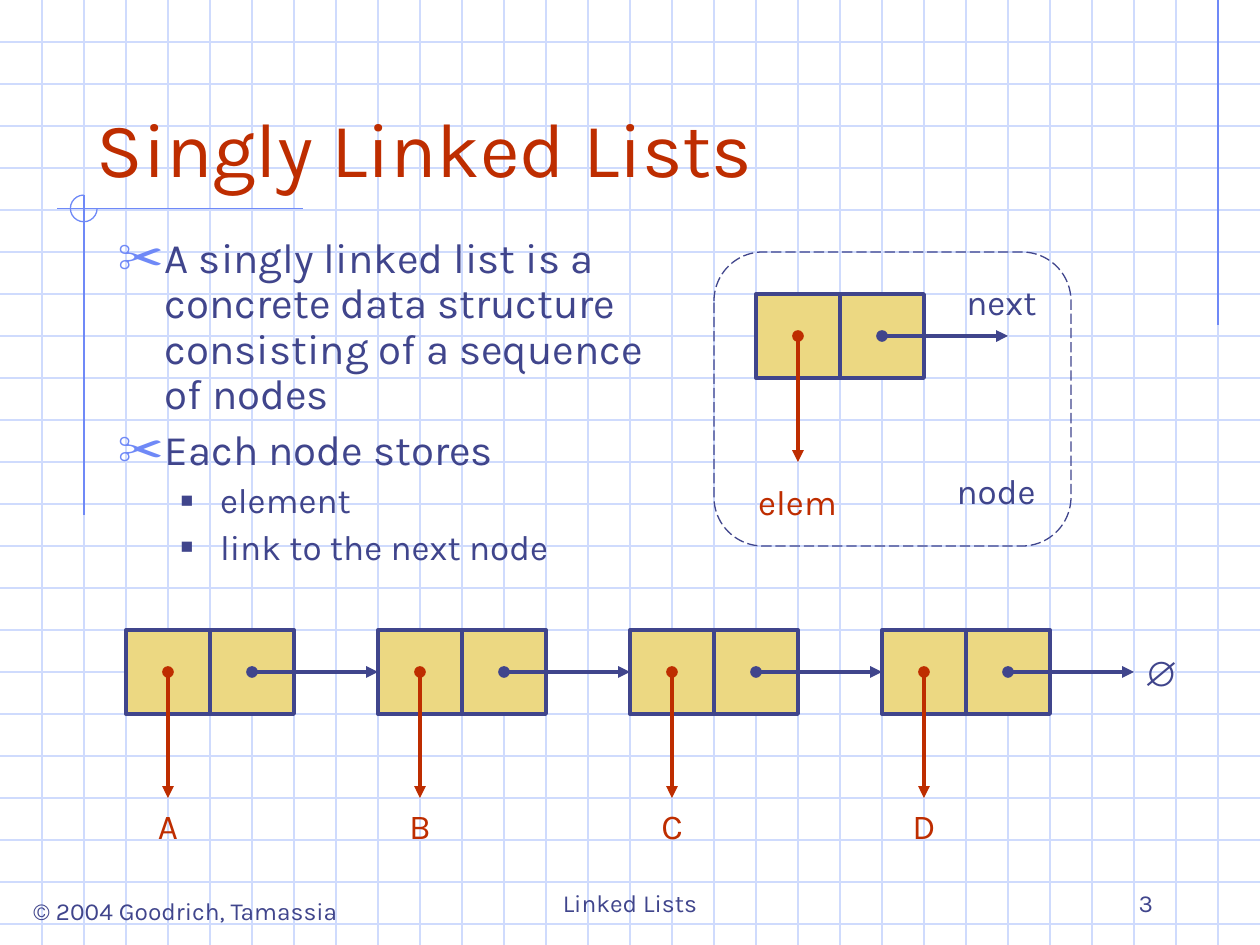
from dataclasses import dataclass

from lxml.etree import SubElement
from pptx import Presentation
from pptx.dml.color import RGBColor
from pptx.enum.dml import MSO_LINE
from pptx.enum.shapes import MSO_CONNECTOR, MSO_SHAPE
from pptx.enum.text import MSO_ANCHOR, MSO_AUTO_SIZE, PP_ALIGN
from pptx.oxml.ns import qn
from pptx.util import Pt


@dataclass(frozen=True)
class Theme:
    """Colours, font and sizes shared by the whole slide."""

    ink: str = "40458C"
    accent: str = "BE2D00"
    rule: str = "6F89F7"
    grid: str = "CFDBFD"
    cell: str = "ECD882"
    font: str = "Karla"
    title: int = 44
    body: int = 24
    label: int = 20
    footer: int = 14
    thin: float = 0.75
    thick: float = 2.25


THEME = Theme()
UNIT = 24
CELL = 2 * UNIT
WIDTH, HEIGHT = 720, 540


def apply(target, values):
    """Set every named attribute on the target."""
    for name, value in values.items():
        setattr(target, name, value)


def place(box, left, top, width, height):
    """Position a box, in points."""
    apply(box, {"left": Pt(left), "top": Pt(top), "width": Pt(width), "height": Pt(height)})


def write(para, text, size, color, font=THEME.font, bold=False):
    """Add one formatted span of text to a paragraph."""
    span = para.add_run()
    span.text = text
    apply(span.font, {"name": font, "size": Pt(size), "bold": bold})
    span.font.color.rgb = RGBColor.from_string(color)


def add_label(page, text, left, top, width, height, color=THEME.ink, size=THEME.label,
              align=PP_ALIGN.CENTER, anchor=MSO_ANCHOR.TOP, wrap=False, **font):
    """Add a one-line text box."""
    box = page.shapes.add_textbox(Pt(left), Pt(top), Pt(width), Pt(height))
    apply(box.text_frame, {"word_wrap": wrap, "vertical_anchor": anchor})
    para = box.text_frame.paragraphs[0]
    para.alignment = align
    write(para, text, size, color, **font)
    return box


def add_line(shapes, start, end, color, width=THEME.thin):
    """Add a straight line without a shadow."""
    line = shapes.add_connector(MSO_CONNECTOR.STRAIGHT, *(Pt(n) for n in (*start, *end)))
    line.line.width = Pt(width)
    line.line.color.rgb = RGBColor.from_string(color)
    SubElement(line.element.spPr, qn("a:effectLst"))
    return line


def add_arrow(page, start, end, color):
    """Add a thick pointer with a dot at its start and an arrowhead at its end."""
    arrow = add_line(page.shapes, start, end, color, THEME.thick)
    stroke = arrow.line._get_or_add_ln()
    SubElement(stroke, qn("a:headEnd"), type="oval")
    SubElement(stroke, qn("a:tailEnd"), type="triangle")
    return arrow


def add_outline(shapes, kind, left, top, width, height, color, weight, fill=None):
    """Add a preset shape with a line and an optional fill."""
    shape = shapes.add_shape(kind, Pt(left), Pt(top), Pt(width), Pt(height))
    shape.shadow.inherit = False
    shape.line.width = Pt(weight)
    shape.line.color.rgb = RGBColor.from_string(color)
    if fill:
        shape.fill.solid()
        shape.fill.fore_color.rgb = RGBColor.from_string(fill)
    else:
        shape.fill.background()
    return shape


def add_background(page):
    """Draw the graph paper and its ruled ornaments behind everything."""
    group = page.shapes.add_group_shape()
    for y in range(UNIT, HEIGHT, UNIT):
        add_line(group.shapes, (0, y), (WIDTH, y), THEME.grid)
    for x in range(UNIT, WIDTH, UNIT):
        add_line(group.shapes, (x, 0), (x, HEIGHT), THEME.grid)
    for start, end in (((696, 0), (696, 186)), ((173, 119.25), (32.5, 119.25)), ((48, 111.5), (48, 294.5))):
        add_line(group.shapes, start, end, THEME.rule)
    arc = add_outline(group.shapes, MSO_SHAPE.ARC, 40.25, 111.5, 15.25, 15.25, THEME.rule, THEME.thin)
    arc.adjustments[0], arc.adjustments[1] = 0, 162
    page.shapes.element.insert(2, group.element)


def add_bullet(para, symbol, color, percent, margin, hang):
    """Give a paragraph a hanging bullet."""
    props = para._p.get_or_add_pPr()
    props.set("marL", str(Pt(margin)))
    props.set("indent", str(-Pt(hang)))
    SubElement(SubElement(props, qn("a:buClr")), qn("a:srgbClr"), val=color)
    SubElement(props, qn("a:buSzPct"), val=str(percent * 1000))
    SubElement(props, qn("a:buFont"), typeface="Arial")
    SubElement(props, qn("a:buChar"), char=symbol)


def fill_title(box, text):
    """Place and write the title."""
    place(box, 48, 24, 612, 90)
    apply(box.text_frame, {"vertical_anchor": MSO_ANCHOR.BOTTOM, "auto_size": MSO_AUTO_SIZE.NONE})
    para = box.text_frame.paragraphs[0]
    para.alignment = PP_ALIGN.LEFT
    write(para, text, THEME.title, THEME.accent)


def fill_body(box, items):
    """Place the body and write its two-level list."""
    place(box, 60, 132, 324, 198)
    frame = box.text_frame
    frame.auto_size = MSO_AUTO_SIZE.NONE
    styles = (
        (THEME.body, 6, ("✂", THEME.rule, 110, 27, 27)),
        (THEME.label, 5, ("■", THEME.ink, 60, 58.5, 22.5)),
    )
    for index, (level, text) in enumerate(items):
        para = frame.add_paragraph() if index else frame.paragraphs[0]
        size, before, bullet = styles[level]
        apply(para, {"level": level, "line_spacing": 0.9, "space_before": Pt(before)})
        add_bullet(para, *bullet)
        write(para, text, size, THEME.ink)


def add_node(page, left, top):
    """Draw the two cells of a node with its pointers; return first cell, element and next arrows."""
    cells = [add_outline(page.shapes, MSO_SHAPE.RECTANGLE, x, top, CELL, CELL, THEME.ink, THEME.thick, THEME.cell)
             for x in (left, left + CELL)]
    x, y = left + UNIT, top + UNIT
    element = add_arrow(page, (x, y), (x, y + 72), THEME.accent)
    following = add_arrow(page, (x + CELL, y), (x + CELL + 72, y), THEME.ink)
    return cells[0], element, following


def add_legend(page):
    """Draw the framed single node with its part names."""
    frame = add_outline(page.shapes, MSO_SHAPE.ROUNDED_RECTANGLE, 408, 144, 204, 168, THEME.ink, THEME.thin)
    frame.line.dash_style = MSO_LINE.LONG_DASH
    add_node(page, 432, 168)
    add_label(page, "next", 544.5, 156.5, 55.5, 31.5)
    add_label(page, "elem", 425.5, 271, 60.5, 31.5, THEME.accent)
    add_label(page, "node", 538, 264.5, 62.5, 31.5)


def add_chain(page, names):
    """Draw the linked list, each node joined to the following one."""
    previous = None
    for index, name in enumerate(names):
        left = 72 + 144 * index
        first, element, following = add_node(page, left, 360)
        label = add_label(page, name, left + 10, 456, 28, 31.5, THEME.accent)
        element.end_connect(label, 0)
        if previous:
            previous.end_connect(first, 1)
        previous = following
    add_label(page, "∅", 646.5, 368.5, 30.5, 31.5, font="Arial", bold=True)


def add_footers(page):
    """Write the credit line, deck name and page number."""
    bottom = {"size": THEME.footer, "anchor": MSO_ANCHOR.BOTTOM, "wrap": True}
    add_label(page, "© 2004 Goodrich, Tamassia", 8.5, 508.5, 195, 24.5, size=THEME.footer)
    add_label(page, "Linked Lists", 246, 492, 228, 36, **bottom)
    add_label(page, "3", 516, 492, 150, 36, align=PP_ALIGN.RIGHT, **bottom)


def main():
    """Build and save the slide."""
    deck = Presentation()
    apply(deck, {"slide_width": Pt(WIDTH), "slide_height": Pt(HEIGHT)})
    page = deck.slides.add_slide(deck.slide_layouts[1])
    add_background(page)
    fill_title(page.shapes.title, "Singly Linked Lists")
    fill_body(page.placeholders[1], (
        (0, "A singly linked list is a concrete data structure consisting of a sequence of nodes"),
        (0, "Each node stores"),
        (1, "element"),
        (1, "link to the next node"),
    ))
    add_legend(page)
    add_chain(page, "ABCD")
    add_footers(page)
    deck.save("out.pptx")


if __name__ == "__main__":
    main()
